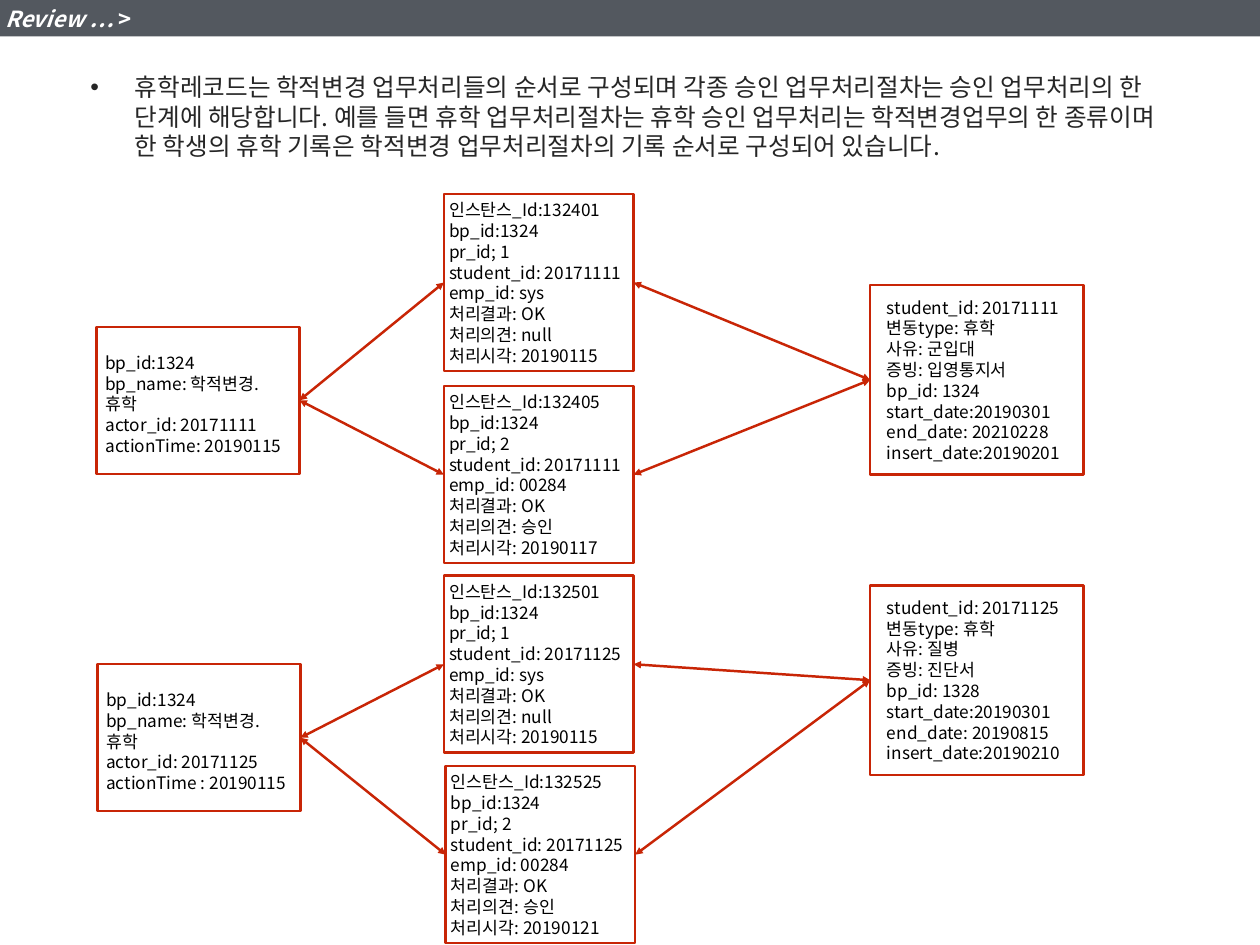
from pptx import Presentation
from pptx.dml.color import RGBColor
from pptx.enum.shapes import MSO_CONNECTOR as CONNECTOR, MSO_SHAPE as SHAPE
from pptx.enum.text import MSO_ANCHOR as ANCHOR, MSO_AUTO_SIZE as AUTO_SIZE, PP_ALIGN as ALIGN
from pptx.oxml.ns import qn
from pptx.util import Inches, Pt
from lxml import etree

FONT = "Noto Sans CJK KR"
RED = "C82506"
TOP, LEFT, BOTTOM, RIGHT = range(4)

# Each case: start box, approval instances, resulting record (left, top, lines)
CASES = [
    {
        "start": (1.09, 3.69, ["bp_id:1324", "bp_name: 학적변경.휴학",
                               "actor_id: 20171111", "actionTime: 20190115"]),
        "instances": [
            (5.01, 2.19, ["인스탄스_Id:132401", "bp_id:1324", "pr_id; 1",
                          "student_id: 20171111", "emp_id: sys", "처리결과: OK",
                          "처리의견: null", "처리시각: 20190115"]),
            (5.01, 4.36, ["인스탄스_Id:132405", "bp_id:1324", "pr_id; 2",
                          "student_id: 20171111", "emp_id: 00284", "처리결과: OK",
                          "처리의견: 승인", "처리시각: 20190117"]),
        ],
        "record": (9.82, 3.22, ["student_id: 20171111", "변동type: 휴학", "사유: 군입대",
                                "증빙: 입영통지서", "bp_id: 1324", "start_date:20190301",
                                "end_date: 20210228", "insert_date:20190201"]),
    },
    {
        "start": (1.1, 7.5, ["bp_id:1324", "bp_name: 학적변경.휴학",
                             "actor_id: 20171125", "actionTime : 20190115"]),
        "instances": [
            (5.01, 6.5, ["인스탄스_Id:132501", "bp_id:1324", "pr_id; 1",
                         "student_id: 20171125", "emp_id: sys", "처리결과: OK",
                         "처리의견: null", "처리시각: 20190115"]),
            (5.03, 8.65, ["인스탄스_Id:132525", "bp_id:1324", "pr_id; 2",
                          "student_id: 20171125", "emp_id: 00284", "처리결과: OK",
                          "처리의견: 승인", "처리시각: 20190121"]),
        ],
        "record": (9.82, 6.61, ["student_id: 20171125", "변동type: 휴학", "사유: 질병",
                                "증빙: 진단서", "bp_id: 1328", "start_date:20190301",
                                "end_date: 20190815", "insert_date:20190210"]),
    },
]

# Width, height, then left, top, right and bottom text insets
STYLES = {
    "start": (2.29, 1.66, (0.1, 0.1, 0.14, 0.02)),
    "instance": (2.14, 2, (0.06, 0.06, 0, 0.06)),
    "record": (2.41, 2.14, (0.19, 0.06, 0, 0.06)),
}


def color(hex_text):
    return RGBColor.from_string(hex_text)


def add_run(para, text, size, hex_text):
    """Add a run whose Latin and Korean letters share one font."""
    span = para.add_run()
    span.text = text
    span.font.size = Pt(size)
    span.font.name = FONT
    span.font.color.rgb = color(hex_text)
    latin = span.font._element.find(qn("a:latin"))
    east_asian = etree.Element(qn("a:ea"), typeface=FONT)
    latin.addnext(east_asian)
    return span


deck = Presentation()
deck.slide_width = Inches(14.22)
deck.slide_height = Inches(10.67)
page = deck.slides.add_slide(deck.slide_layouts[1])
shapes = page.shapes

# Header bar behind the title
title = shapes.title
bar = shapes.add_shape(SHAPE.RECTANGLE, 0, 0, deck.slide_width, Inches(0.41))
bar.shadow.inherit = False
bar.fill.solid()
bar.fill.fore_color.rgb = color("53585F")
bar.line.fill.background()
title.element.addprevious(bar.element)

title.left, title.top, title.width, title.height = 0, 0, Inches(2.14), Inches(0.42)
frame = title.text_frame
frame.auto_size = AUTO_SIZE.NONE
frame.vertical_anchor = ANCHOR.MIDDLE
frame.margin_left = frame.margin_top = frame.margin_right = frame.margin_bottom = Inches(0.06)
para = frame.paragraphs[0]
para.alignment = ALIGN.LEFT
for text, italic in [("Review …", True), (" >", False)]:
    span = add_run(para, text, 18, "FFFFFF")
    span.font.bold = True
    span.font.italic = italic

# Explanation
body = page.placeholders[1]
body.left, body.top, body.width, body.height = map(Inches, (0.95, 0.74, 12.3, 1.18))
frame = body.text_frame
frame.auto_size = AUTO_SIZE.NONE
frame.margin_left = frame.margin_top = frame.margin_right = frame.margin_bottom = Inches(0.07)
para = frame.paragraphs[0]
para.space_before = Pt(6)
para.line_spacing = Pt(24.1)
properties = para._p.get_or_add_pPr()
properties.set("marL", str(Inches(0.5)))
properties.set("indent", str(Inches(-0.5)))
add_run(para, "휴학레코드는 학적변경 업무처리들의 순서로 구성되며 각종 승인 업무처리절차는 "
              "승인 업무처리의 한 단계에 해당합니다. 예를 들면 휴학 업무처리절차는 휴학 승인 "
              "업무처리는 학적변경업무의 한 종류이며 한 학생의 휴학 기록은 학적변경 "
              "업무처리절차의 기록 순서로 구성되어 있습니다.", 20, "262626")

# Boxes and the arrows between them
for case in CASES:
    entries = [("start", case["start"]), ("record", case["record"])]
    entries += [("instance", instance) for instance in case["instances"]]
    boxes = []
    for style, (left, top, lines) in entries:
        width, height, insets = STYLES[style]
        box = shapes.add_shape(SHAPE.RECTANGLE, *map(Inches, (left, top, width, height)))
        box.shadow.inherit = False
        box.fill.solid()
        box.fill.fore_color.rgb = color("FFFFFF")
        box.line.color.rgb = color(RED)
        box.line.width = Pt(2)
        frame = box.text_frame
        frame.word_wrap = style == "start"
        frame.vertical_anchor = ANCHOR.MIDDLE
        (frame.margin_left, frame.margin_top,
         frame.margin_right, frame.margin_bottom) = map(Inches, insets)
        for number, line in enumerate(lines):
            para = frame.add_paragraph() if number else frame.paragraphs[0]
            para.alignment = ALIGN.LEFT
            para.line_spacing = Pt(16.9)
            add_run(para, line, 14, "000000")
        boxes.append(box)

    start, record, *instances = boxes
    for instance in instances:
        for source, source_side, instance_side in [(start, RIGHT, LEFT), (record, LEFT, RIGHT)]:
            arrow = shapes.add_connector(CONNECTOR.STRAIGHT, 0, 0, 0, 0)
            arrow.begin_connect(source, source_side)
            arrow.end_connect(instance, instance_side)
            arrow.line.color.rgb = color(RED)
            arrow.line.width = Pt(2)
            outline = arrow.line._get_or_add_ln()
            for end in ("a:headEnd", "a:tailEnd"):
                etree.SubElement(outline, qn(end), type="triangle")
            etree.SubElement(arrow.element.spPr, qn("a:effectLst"))

deck.save("out.pptx")
